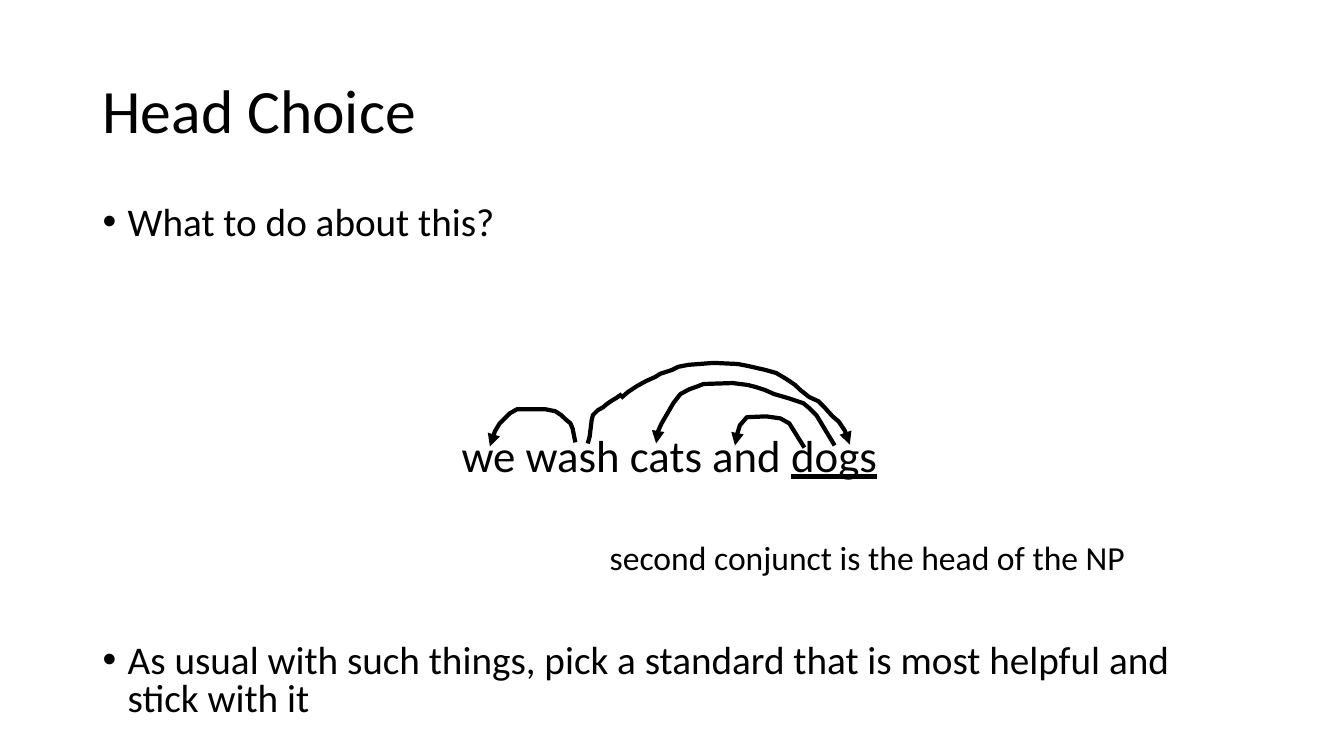
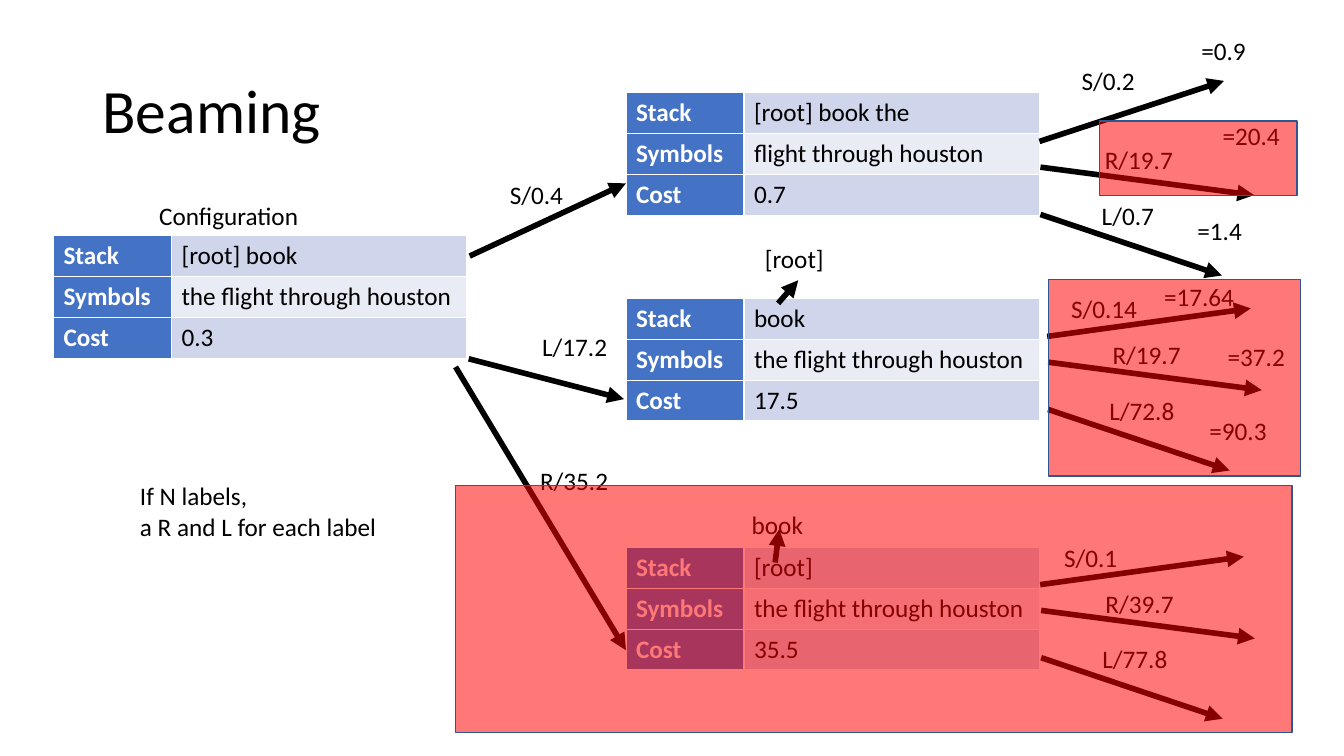
from dataclasses import dataclass

from lxml import etree
from pptx import Presentation
from pptx.dml.color import RGBColor
from pptx.enum import shapes, text
from pptx.oxml import ns
from pptx.util import Pt


# Theme
@dataclass(frozen=True)
class Theme:
    font: str = "Calibri"
    ink: str = "000000"
    paper: str = "FFFFFF"
    header: str = "4472C4"
    bands: tuple = ("CFD5EA", "E9EBF5")
    pruned: str = "FF0000"
    pruned_edge: str = "325491"
    pruned_alpha: int = 53
    title: int = 44
    body: int = 28
    example: int = 32
    note: int = 24
    label: int = 18
    arc: int = 3
    arrow: int = 4


T = Theme()
SLIDE_SIZE = 960, 540
TITLE_BOX = 66.2, 28.8, 828, 104.4

# Head Choice: bullets as (text, space before), sentence as (text, underlined)
BULLETS = [
    ("What to do about this?", 10),
    ("As usual with such things, pick a standard that is most helpful "
     "and stick with it", 286),
]
SENTENCE = [("we wash cats and ", False), ("dogs", True)]
HEAD_NOTE = "second conjunct is the head of the NP"

# Dependency arcs: (has arrowhead, points)
ARCS = [
    (True, [(411, 316), (409, 306), (407.5, 302.4), (404, 299.5), (401, 296.6),
            (396.7, 293.8), (389.5, 292.3), (369.4, 292.3), (364.3, 295.2),
            (361.4, 298), (357, 302.4), (353.5, 308.2), (350, 319)]),
    (False, [(419.8, 316.8), (421.2, 311.8), (422.6, 300.2), (423.5, 296.5),
             (427, 293), (430.6, 291), (433.4, 288.7), (436.3, 286.6),
             (440, 284.4), (444.2, 281.5)]),
    (True, [(443.5, 284.4), (448.6, 280), (455, 275.8), (461.5, 272.2),
            (468, 269.3), (471.6, 267), (480.2, 264.2), (484.6, 262),
            (491.8, 260.6), (509.8, 259.2), (527, 260), (534.2, 261.4),
            (546.5, 264.2), (554.4, 266.4), (561.6, 270.7), (568, 275),
            (571.7, 278.6), (578.2, 283.7), (584.6, 286.6), (589, 291),
            (594.7, 297.4), (599, 301), (603.4, 307.4), (607, 317.5)]),
    (True, [(596.2, 318.2), (583.2, 296.6), (578.2, 291.6), (573.8, 288),
            (563, 284.4), (553, 281.5), (546.5, 278.6), (540, 276.5),
            (534.2, 275), (523.4, 273.6), (502.6, 274.3), (496.8, 276.5),
            (492.5, 278), (486, 281.5), (481, 288), (476, 296.6),
            (472.3, 303), (469.4, 309.6), (468.7, 316.8)]),
    (True, [(574.6, 319.7), (563.8, 302.4), (557.3, 298.8), (547.2, 297.4),
            (533.5, 298), (528.5, 303.8), (526.3, 311), (525, 318.2)]),
]

# Beaming: configurations as (left, top, stack, symbols, cost)
ROW_NAMES = "Stack", "Symbols", "Cost"
COLUMNS = 84.3, 211
ROW_HEIGHT = 29.2
NEXT_X = 447.1
CONFIGS = [
    (38.2, 168.5, "[root] book", "the flight through houston", "0.3"),
    (NEXT_X, 66.2, "[root] book the", "flight through houston", "0.7"),
    (NEXT_X, 213.1, "book", "the flight through houston", "17.5"),
    (NEXT_X, 391, "[root]", "the flight through houston", "35.5"),
]

# Labelled arrows: (label, label left, label top, from, to)
STEPS = [
    ("[root]", 539.3, 170.6, (555.8, 216.7), (570.2, 200.2)),
    ("book", 529.9, 360, (553.7, 401.8), (556.6, 378)),
    ("S/0.4", 357.1, 124.6, (335.5, 182.9), (447.1, 131)),
    ("L/17.2", 380.2, 233.3, (334.8, 256.3), (445.7, 285.1)),
    ("R/35.2", 378.7, 329, (325.4, 262.1), (447.1, 464.4)),
]

# Fans of three actions; each ray holds offsets: label, arrow start, arrow run
SHIFT = (10, -34), (0, 0), (145.4, -20)
STEEP_SHIFT = (23, -57.6), (0, 0), (131.8, -43.2)
RIGHT = (39.6, -1.2), (0.7, 18.4), (152.6, 20)
LEFT = (37.4, 38.4), (0.7, 52.2), (129.6, 43.6)
FANS = [
    (742.5, 101, (STEEP_SHIFT, RIGHT, LEFT), ("S/0.2", "R/19.7", "L/0.7")),
    (748, 240.3, (SHIFT, RIGHT, LEFT), ("S/0.14", "R/19.7", "L/72.8")),
    (743, 417.6, (SHIFT, RIGHT, LEFT), ("S/0.1", "R/39.7", "L/77.8")),
]

# Plain labels: (text, left, top, width)
LABEL_WIDTH = 72
LABELS = [
    ("Configuration", 106.6, 139.7, 120),
    ("If N labels,\na R and L for each label", 92.9, 339.8, 190),
    ("=0.9", 851, 21.6, LABEL_WIDTH),
    ("=20.4", 866.2, 82.1, LABEL_WIDTH),
    ("=1.4", 848.2, 150.5, LABEL_WIDTH),
    ("=17.64", 824.4, 197.3, LABEL_WIDTH),
    ("=37.2", 869.8, 240.5, LABEL_WIDTH),
    ("=90.3", 856.8, 293, LABEL_WIDTH),
]
PRUNED = [
    (325.4, 347, 597.6, 176.4),
    (785.5, 86.4, 141.1, 53.5),
    (748.8, 199.5, 180, 140.4),
]


# Helpers
def rgb(color):
    return RGBColor.from_string(color)


def pts(*values):
    return [Pt(v) for v in values]


def sub(parent, tag, **attrs):
    return etree.SubElement(parent, ns.qn(tag), attrs)


def set_font(p, size, color=T.ink, bold=False):
    f = p.font
    f.name, f.size, f.bold = T.font, Pt(size), bold
    f.color.rgb = rgb(color)


def add_text(s, words, box, size):
    tf = s.shapes.add_textbox(*pts(*box)).text_frame
    tf.word_wrap = True
    tf.text = words
    for p in tf.paragraphs:
        set_font(p, size)
    return tf


def add_label(s, words, left, top, width=LABEL_WIDTH):
    lines = words.count("\n") + 1
    add_text(s, words, (left, top, width, 7 + 22 * lines), T.label)


def style_line(sp, width, head=True):
    sp.line.color.rgb = rgb(T.ink)
    sp.line.width = Pt(width)
    if head:
        sub(sp.element.xpath(".//a:ln")[0], "a:tailEnd", type="triangle")


def add_arrow(s, start, end):
    sp = s.shapes.add_connector(shapes.MSO_CONNECTOR.STRAIGHT,
                                *pts(*start, *end))
    style_line(sp, T.arrow)
    sub(sp.element.spPr, "a:effectLst")


def add_arc(s, points, head):
    first, *rest = [pts(*xy) for xy in points]
    builder = s.shapes.build_freeform(*first)
    builder.add_line_segments(rest, close=False)
    sp = builder.convert_to_shape()
    sp.fill.background()
    sp.shadow.inherit = False
    style_line(sp, T.arc, head)


def add_pruned(s, box):
    sp = s.shapes.add_shape(shapes.MSO_SHAPE.RECTANGLE, *pts(*box))
    sp.shadow.inherit = False
    sp.fill.solid()
    sp.fill.fore_color.rgb = rgb(T.pruned)
    clr = sp.element.xpath("./p:spPr/a:solidFill/a:srgbClr")[0]
    sub(clr, "a:alpha", val=str(T.pruned_alpha * 1000))
    sp.line.color.rgb = rgb(T.pruned_edge)
    sp.line.width = Pt(1)


def fill_cell(cell, words, color, fill, bold):
    cell.text = words
    set_font(cell.text_frame.paragraphs[0], T.label, color, bold)
    tc_pr = cell._tc.get_or_add_tcPr()
    for side in "LRTB":
        ln = sub(tc_pr, f"a:ln{side}", w=str(Pt(1)))
        sub(sub(ln, "a:solidFill"), "a:srgbClr", val=T.paper)
    cell.fill.solid()
    cell.fill.fore_color.rgb = rgb(fill)


def add_config(s, left, top, *values):
    rows = len(ROW_NAMES)
    table = s.shapes.add_table(rows, 2, *pts(
        left, top, sum(COLUMNS), rows * ROW_HEIGHT)).table
    table.first_row, table.first_col = False, True
    for col, width in zip(table.columns, COLUMNS):
        col.width = Pt(width)
    for i, (name, value) in enumerate(zip(ROW_NAMES, values)):
        table.rows[i].height = Pt(ROW_HEIGHT)
        fill_cell(table.cell(i, 0), name, T.paper, T.header, True)
        fill_cell(table.cell(i, 1), value, T.ink, T.bands[i % 2], False)


def add_slide(prs, title):
    s = prs.slides.add_slide(prs.slide_layouts[6])
    tf = add_text(s, title, TITLE_BOX, T.title)
    tf.vertical_anchor = text.MSO_ANCHOR.MIDDLE
    tf.paragraphs[0].line_spacing = 0.9
    return s


# Slides
def head_choice(prs):
    s = add_slide(prs, "Head Choice")
    bullets = "\n".join(words for words, _ in BULLETS)
    tf = add_text(s, bullets, (66.2, 144, 828, 373), T.body)
    for p, (_, gap) in zip(tf.paragraphs, BULLETS):
        p.line_spacing, p.space_before = 0.8, Pt(gap)
        p_pr = p._p.get_or_add_pPr()
        p_pr.set("marL", str(Pt(18)))
        p_pr.set("indent", str(Pt(-18)))
        bullet_font = sub(p_pr, "a:buFont", typeface="Arial")
        bullet_font.addnext(sub(p_pr, "a:buChar", char="•"))
        p_pr.append(p_pr.find(ns.qn("a:defRPr")))

    tf = add_text(s, "", (322.6, 301.7, 320, 46), T.example)
    p = tf.paragraphs[0]
    for words, underlined in SENTENCE:
        r = p.add_run()
        r.text, r.font.underline = words, underlined
    add_text(s, HEAD_NOTE, (428.4, 380.2, 400, 36), T.note)
    for head, points in ARCS:
        add_arc(s, points, head)


def beaming(prs):
    s = add_slide(prs, "Beaming")
    for config in CONFIGS:
        add_config(s, *config)
    for label in LABELS:
        add_label(s, *label)
    for words, left, top, start, end in STEPS:
        add_label(s, words, left, top)
        add_arrow(s, start, end)
    for x, y, rays, actions in FANS:
        for ((lx, ly), (sx, sy), (dx, dy)), words in zip(rays, actions):
            start = x + sx, y + sy
            add_arrow(s, start, (start[0] + dx, start[1] + dy))
            add_label(s, words, x + lx, y + ly)
    for box in PRUNED:
        add_pruned(s, box)


def main():
    prs = Presentation()
    prs.slide_width, prs.slide_height = pts(*SLIDE_SIZE)
    head_choice(prs)
    beaming(prs)
    prs.save("out.pptx")


if __name__ == "__main__":
    main()
